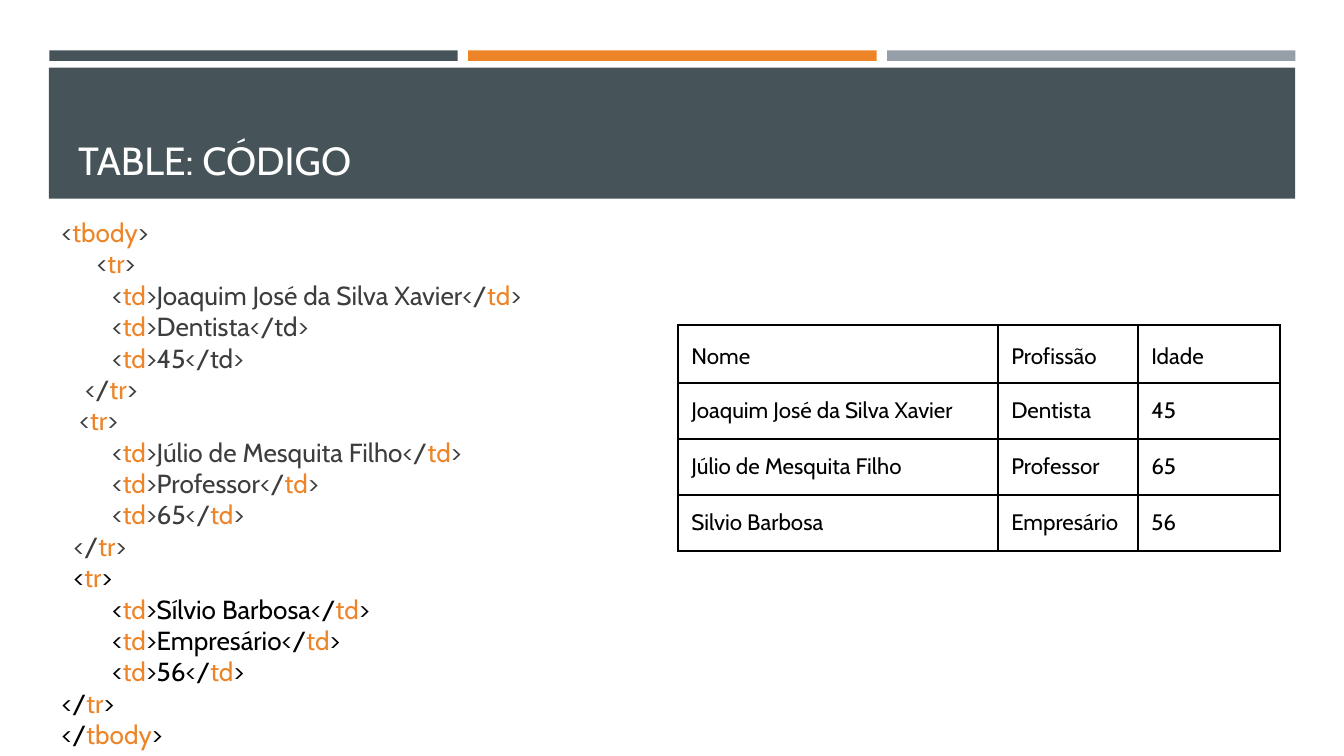
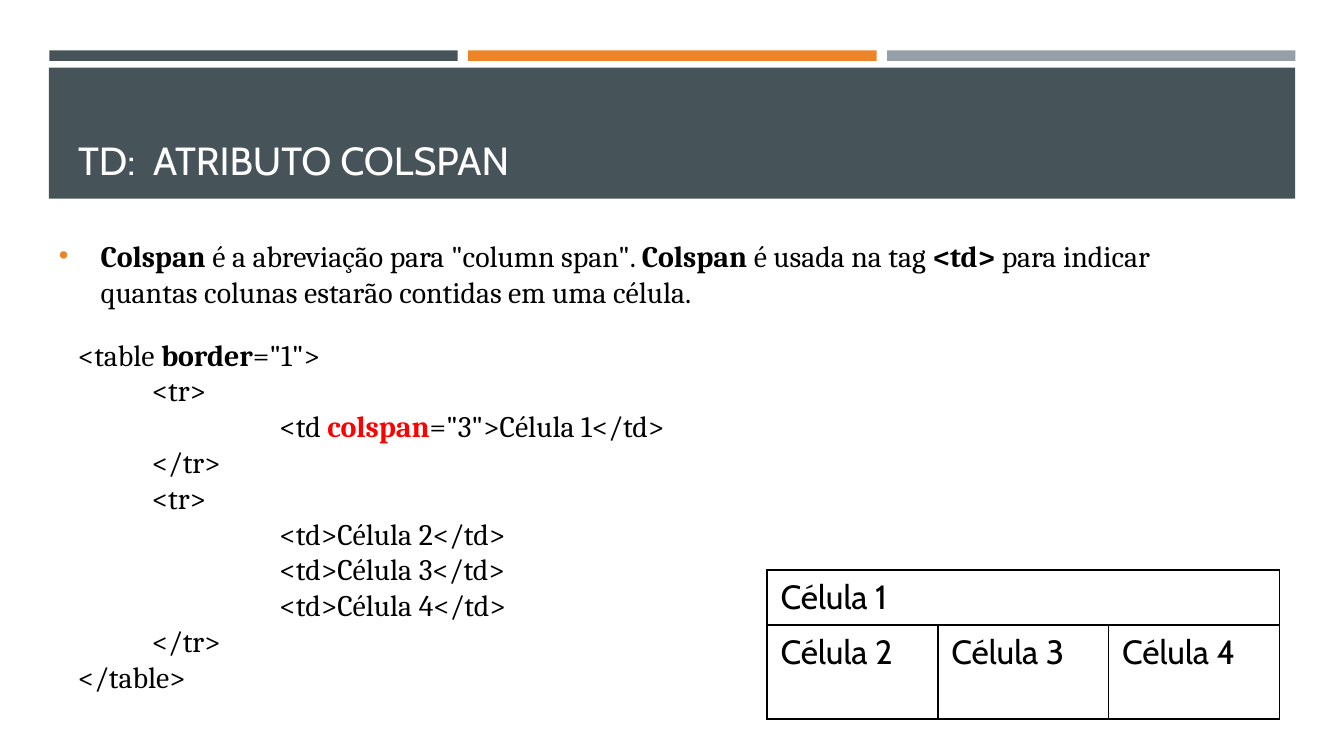
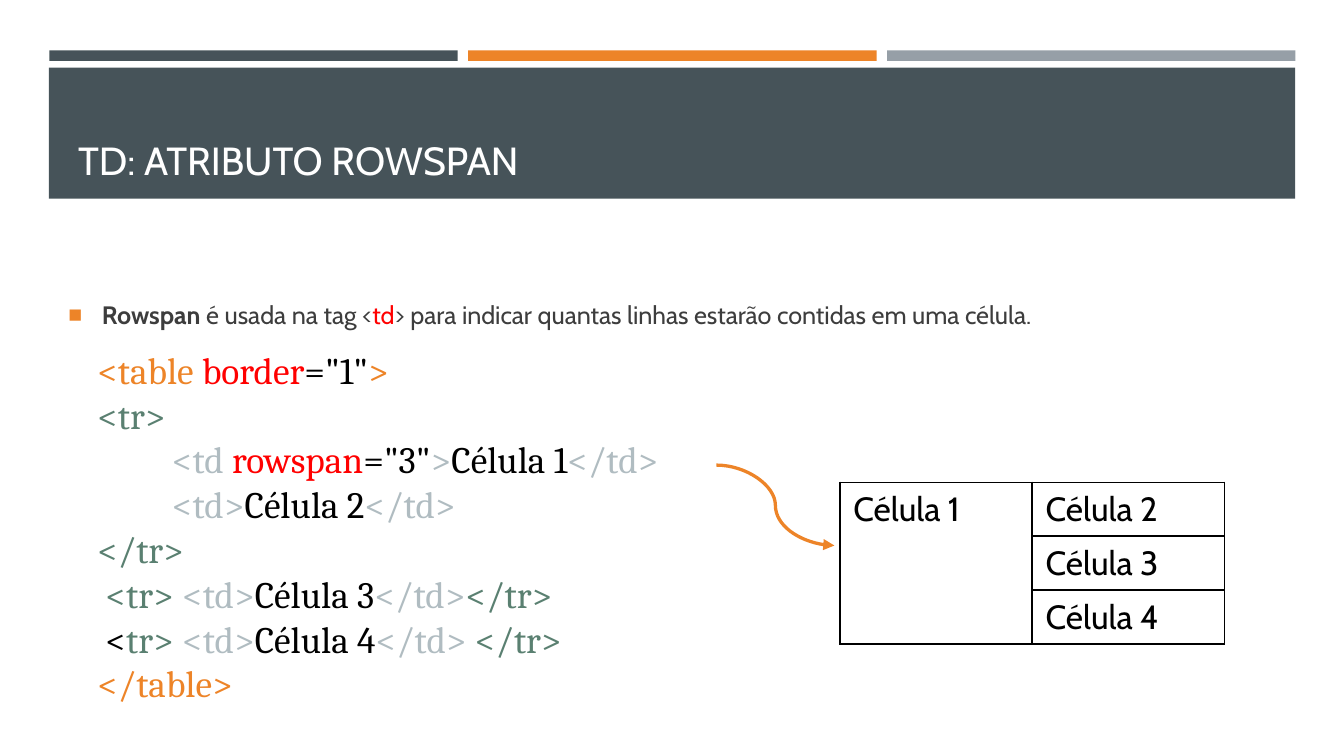
import pptx
import pptx.dml.color
import pptx.enum.shapes
import pptx.enum.text
import pptx.oxml
import pptx.oxml.ns
import pptx.util
from lxml import etree

Pt = pptx.util.Pt
RGBColor = pptx.dml.color.RGBColor
Anchor = pptx.enum.text.MSO_ANCHOR

SLATE = RGBColor(0x46, 0x53, 0x59)
ORANGE = RGBColor(0xED, 0x84, 0x28)
SILVER = RGBColor(0x96, 0x9F, 0xA7)
WHITE = RGBColor(0xFF, 0xFF, 0xFF)
BLACK = RGBColor(0, 0, 0)
CHARCOAL = RGBColor(0x3D, 0x3D, 0x3D)
RED = RGBColor(0xFF, 0, 0)
GREEN = RGBColor(0x5A, 0x80, 0x71)
MIST = RGBColor(0xB0, 0xBC, 0xC1)

SANS = "Cabin"
SERIF = "Cambria"
LINE_PITCH = 1.2
BOLD = {"bold": True}


def add_xml(parent, tag, **attributes):
    return etree.SubElement(parent, pptx.oxml.ns.qn(tag), **attributes)


def add_span(para, text, font=SANS, size=14, color=BLACK, bold=False):
    span = para.add_run()
    span.text = text
    span.font.name = font
    span.font.size = Pt(size)
    span.font.color.rgb = color
    span.font.bold = bold


def write_spans(para, spans, **style):
    """Each span is a text, or a pair of a text and its own format."""
    for span in spans:
        text, own = (span, {}) if isinstance(span, str) else span
        add_span(para, text, **{**style, **own})


def add_text_box(page, left, top, width, height):
    box = page.shapes.add_textbox(Pt(left), Pt(top), Pt(width), Pt(height))
    box.text_frame.word_wrap = True
    box.text_frame.vertical_anchor = Anchor.MIDDLE
    return box.text_frame


def add_code(page, place, lines, **style):
    """Each line is a pair of its indent and its spans."""
    frame = add_text_box(page, *place)
    for number, (indent, spans) in enumerate(lines):
        para = frame.add_paragraph() if number else frame.paragraphs[0]
        para.line_spacing = Pt(style["size"] * LINE_PITCH)
        para._p.get_or_add_pPr().set("marL", str(Pt(indent)))
        write_spans(para, spans, **style)


def add_bullet(page, place, spans, mark, indent, **style):
    para = add_text_box(page, *place).paragraphs[0]
    para.line_spacing = Pt(style["size"] * LINE_PITCH)
    para.space_before = Pt(style["size"] * 0.2)
    para.space_after = Pt(4.5)
    properties = para._p.get_or_add_pPr()
    properties.set("marL", str(Pt(indent)))
    properties.set("indent", str(-Pt(indent)))
    color = add_xml(properties, "a:buClr")
    add_xml(color, "a:srgbClr", val=str(ORANGE))
    add_xml(properties, "a:buSzPct", val="92000")
    add_xml(properties, "a:buFont", typeface="Arial")
    add_xml(properties, "a:buChar", char=mark)
    write_spans(para, spans, **style)


def outline_cell(cell):
    properties = cell._tc.get_or_add_tcPr()
    for side in ("a:lnL", "a:lnR", "a:lnT", "a:lnB"):
        line = add_xml(properties, side, w=str(Pt(1)))
        add_xml(add_xml(line, "a:solidFill"), "a:srgbClr", val=str(BLACK))


def add_grid(page, left, top, columns, rows, texts, size, merge=None,
             margin=3.6, header_spacing=None):
    """Texts go by row; merge is the far corner of a span from the first cell."""
    table = page.shapes.add_table(len(rows), len(columns), Pt(left), Pt(top),
                                  Pt(sum(columns)), Pt(sum(rows))).table
    table.first_row = table.horz_banding = False
    for column, width in zip(table.columns, columns):
        column.width = Pt(width)
    for row, height in zip(table.rows, rows):
        row.height = Pt(height)
    for row_number, row_texts in enumerate(texts):
        for column_number, text in enumerate(row_texts):
            cell = table.cell(row_number, column_number)
            outline_cell(cell)
            cell.fill.background()
            cell.margin_top = cell.margin_bottom = Pt(margin)
            para = cell.text_frame.paragraphs[0]
            if row_number == 0 and header_spacing:
                para.line_spacing = header_spacing
            if text:
                add_span(para, text, size=size)
    if merge:
        table.cell(0, 0).merge(table.cell(*merge))


def add_curved_arrow(page, start, end):
    arrow = page.shapes.add_connector(
        pptx.enum.shapes.MSO_CONNECTOR.CURVE, *map(Pt, start + end))
    arrow.line.color.rgb = ORANGE
    arrow.line.width = Pt(1.75)
    add_xml(arrow.line._get_or_add_ln(), "a:tailEnd", type="triangle")
    add_xml(arrow._element.spPr, "a:effectLst")


def add_layout_bands(layout, page):
    """Draw the bands on the page, then hand them to the layout for all pages."""
    bands = [(26.4 + 224.4 * number, 27, 218.8, 5.6, color)
             for number, color in enumerate((SLATE, ORANGE, SILVER))]
    bands.append((26.2, 36.2, 667.7, 70.2, SLATE))
    for number, (left, top, width, height, color) in enumerate(bands):
        band = page.shapes.add_shape(
            pptx.enum.shapes.MSO_SHAPE.RECTANGLE,
            Pt(left), Pt(top), Pt(width), Pt(height))
        band.shadow.inherit = False
        band.fill.solid()
        band.fill.fore_color.rgb = color
        band.line.fill.background()
        band.element.nvSpPr.cNvPr.set("id", str(20 + number))
        layout.shapes.element.append(band.element)


def add_page(deck, layout, heading):
    page = deck.slides.add_slide(layout)
    title = page.shapes.title
    title.left, title.top = Pt(34.6), Pt(41.8)
    title.width, title.height = Pt(651.6), Pt(59.8)
    frame = title.text_frame
    frame.vertical_anchor = Anchor.BOTTOM
    frame.auto_size = pptx.enum.text.MSO_AUTO_SIZE.NONE
    para = frame.paragraphs[0]
    para.alignment = pptx.enum.text.PP_ALIGN.LEFT
    add_span(para, heading, size=21, color=WHITE)
    return page


def tag_line(indent, markup, color=CHARCOAL):
    """Bars in the markup set off the tag names, which are orange."""
    return indent, [(part, {"color": ORANGE if number % 2 else color})
                    for number, part in enumerate(markup.split("|"))]


def fill_table_page(page):
    lines = [
        tag_line(0, "<|tbody|>"),
        tag_line(18.8, "<|tr|>"),
        tag_line(27, "<|td|>Joaquim José da Silva Xavier</|td|>"),
        tag_line(27, "<|td|>Dentista</td>"),
        tag_line(27, "<|td|>45</td>"),
        tag_line(12.5, "</|tr|>"),
        tag_line(9.5, "<|tr|>"),
        tag_line(27, "<|td|>Júlio de Mesquita Filho</|td|>"),
        tag_line(27, "<|td|>Professor</|td|>"),
        tag_line(27, "<|td|>65</|td|>"),
        tag_line(6.4, "</|tr|>"),
        tag_line(6.4, "<|tr|>", BLACK),
        tag_line(27, "<|td|>Sílvio Barbosa</|td|>", BLACK),
        tag_line(27, "<|td|>Empresário</|td|>", BLACK),
        tag_line(27, "<|td|>56</|td|>", BLACK),
        tag_line(0, "</|tr|>", BLACK),
        tag_line(0, "</|tbody|>", BLACK),
    ]
    add_code(page, (26, 112.3, 453, 293), lines, size=14)
    people = [("Nome", "Profissão", "Idade"),
              ("Joaquim José da Silva Xavier", "Dentista", "45"),
              ("Júlio de Mesquita Filho", "Professor", "65"),
              ("Silvio Barbosa", "Empresário", "56")]
    add_grid(page, 363.2, 174.2, (171.4, 75, 76.2), (31, 30, 30, 30), people,
             size=12, margin=7.2, header_spacing=1.15)


def fill_colspan_page(page):
    add_bullet(page, (24.5, 59, 651.6, 175), [
        ("Colspan", BOLD), " é a abreviação para \"column span\". ",
        ("Colspan ", BOLD), "é usada na tag ", ("<td>", BOLD),
        " para indicar quantas colunas estarão contidas em uma célula.",
    ], mark="•", indent=22.3, font=SERIF, size=16)
    row, cell = 39.6, 108
    lines = [
        (0, ["<table ", ("border", BOLD), "=\"1\">"]),
        (row, ["<tr>"]),
        (cell, ["<td ", ("colspan", {"color": RED, "bold": True}),
                "=\"3\">Célula 1</td>"]),
        (row, ["</tr>"]),
        (row, ["<tr>"]),
        *[(cell, [f"<td>Célula {number}</td>"]) for number in (2, 3, 4)],
        (row, ["</tr>"]),
        (0, ["</table>"]),
    ]
    add_code(page, (34.6, 175.6, 641.5, 200.9), lines, font=SERIF, size=16)
    add_grid(page, 411, 305.4, (91.5,) * 3, (29.4, 50.4),
             [("Célula 1", "", ""), ("Célula 2", "Célula 3", "Célula 4")],
             size=18, merge=(0, 2))


def fill_rowspan_page(page):
    table, row, cell, attribute = (
        {"color": color} for color in (ORANGE, GREEN, MIST, RED))
    add_bullet(page, (29.5, 102.2, 651.6, 132.5), [
        ("Rowspan", BOLD), " é usada na tag <", ("td", attribute),
        "> para indicar quantas linhas estarão contidas em uma célula.",
    ], mark="■", indent=18, size=13.5, color=CHARCOAL)
    close_cell = ("</td>", cell)
    lines = [
        (0, [("<table ", table), ("border", attribute), "=\"1\"", (">", table)]),
        (0, [("<tr>", row)]),
        (40, [("<td ", cell), ("rowspan", attribute), "=\"3\"", (">", cell),
              "Célula 1", close_cell]),
        (40, [("<td>", cell), "Célula 2", close_cell]),
        (0, [("</tr>", row)]),
        (4.4, [("<tr> ", row), ("<td>", cell), "Célula 3", close_cell,
               ("</tr>", row)]),
        (4.4, ["<", ("tr> ", row), ("<td>", cell), "Célula 4", close_cell,
               (" </tr>", row)]),
        (0, [("</table>", table)]),
    ]
    add_code(page, (45, 181.4, 641.5, 200.9), lines, font=SERIF, size=20)
    add_grid(page, 450, 258.4, (103, 103), (28.8,) * 3,
             [("Célula 1", "Célula 2"), ("", "Célula 3"), ("", "Célula 4")],
             size=18, merge=(2, 0))
    add_curved_arrow(page, (383.8, 249.2), (447, 292.3))


def main():
    deck = pptx.Presentation()
    deck.slide_width, deck.slide_height = Pt(720), Pt(405)
    layout = deck.slide_layouts.get_by_name("Title Only")
    pages = [add_page(deck, layout, heading) for heading in (
        "TABLE: CÓDIGO", "TD:  ATRIBUTO COLSPAN", "TD: ATRIBUTO ROWSPAN")]
    add_layout_bands(layout, pages[0])
    for fill, page in zip(
            (fill_table_page, fill_colspan_page, fill_rowspan_page), pages):
        fill(page)
    deck.save("out.pptx")


if __name__ == "__main__":
    main()
